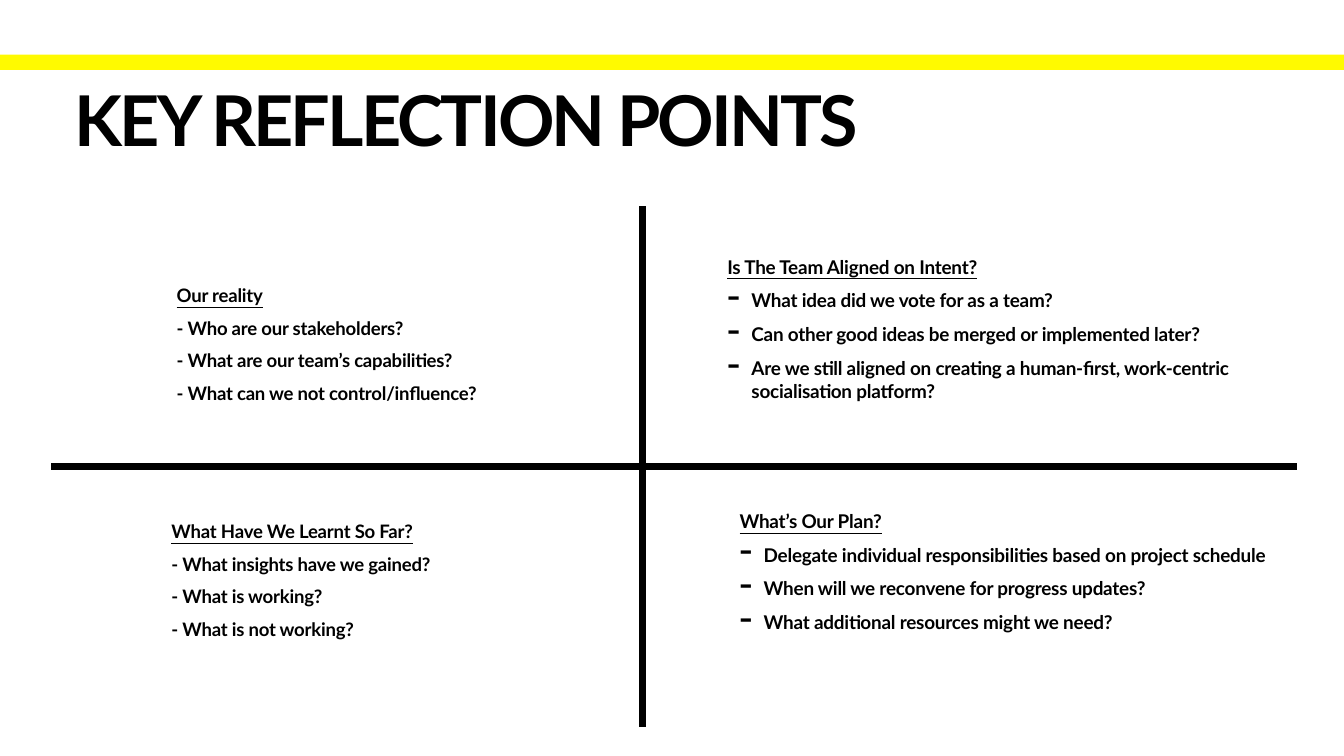
from dataclasses import dataclass

from lxml.etree import SubElement
from pptx import Presentation
from pptx.dml.color import RGBColor
from pptx.enum.shapes import MSO_CONNECTOR as Connector, MSO_SHAPE as Shape
from pptx.enum.text import MSO_ANCHOR as Anchor, MSO_AUTO_SIZE as AutoSize, PP_ALIGN as Align
from pptx.oxml.ns import qn
from pptx.util import Pt


@dataclass(frozen=True)
class Theme:
    font: str = "Lato"
    ink: RGBColor = RGBColor(0, 0, 0)
    accent: RGBColor = RGBColor(0xFF, 0xFA, 0x00)
    title_size: float = 100
    title_tracking: float = -4
    plain_size: float = 26.5
    plain_gap: float = 15
    bullet_size: float = 27
    bullet_gap: float = 16
    bullet_indent: float = 34.5
    bullet_percent: int = 200
    text_tracking: float = -0.3
    inset: float = 4.5
    axis_width: float = 10


THEME = Theme()


@dataclass(frozen=True)
class Box:
    left: float
    top: float
    width: float
    height: float

    def lengths(self):
        return Pt(self.left), Pt(self.top), Pt(self.width), Pt(self.height)


def prepare_frame(frame):
    frame.word_wrap = True
    frame.auto_size = AutoSize.NONE
    frame.vertical_anchor = Anchor.TOP
    frame.margin_left = frame.margin_right = Pt(THEME.inset)
    frame.margin_top = frame.margin_bottom = Pt(THEME.inset)


def format_runs(paragraph, size, tracking, underline=False):
    for run in paragraph.runs:
        run.font.name = THEME.font
        run.font.size = Pt(size)
        run.font.bold = True
        run.font.underline = underline
        run.font.color.rgb = THEME.ink
        run.font._element.set("spc", str(round(tracking * 100)))


def add_dash_bullet(paragraph):
    properties = paragraph._p.get_or_add_pPr()
    indent = Pt(THEME.bullet_indent)
    properties.set("marL", str(indent))
    properties.set("indent", str(-indent))
    color = SubElement(properties, qn("a:buClr"))
    SubElement(color, qn("a:srgbClr"), val=str(THEME.ink))
    SubElement(properties, qn("a:buSzPct"), val=str(THEME.bullet_percent * 1000))
    SubElement(properties, qn("a:buChar"), char="-")


def add_band(slide, box):
    band = slide.shapes.add_shape(Shape.RECTANGLE, *box.lengths())
    band.shadow.inherit = False
    band.fill.solid()
    band.fill.fore_color.rgb = THEME.accent
    band.line.fill.background()


def place_title(slide, box, text):
    title = slide.shapes.title
    title.left, title.top, title.width, title.height = box.lengths()
    prepare_frame(title.text_frame)
    title.text_frame.text = text
    paragraph = title.text_frame.paragraphs[0]
    paragraph.alignment = Align.LEFT
    paragraph.line_spacing = 0.8
    format_runs(paragraph, THEME.title_size, THEME.title_tracking)


def add_axis(slide, start, end):
    axis = slide.shapes.add_connector(Connector.STRAIGHT, *map(Pt, start + end))
    axis.line.color.rgb = THEME.ink
    axis.line.width = Pt(THEME.axis_width)
    SubElement(axis._element.spPr, qn("a:effectLst"))


def add_cross(slide, box, center_x, center_y):
    add_axis(slide, (center_x, box.top), (center_x, box.top + box.height))
    add_axis(slide, (box.left, center_y), (box.left + box.width, center_y))


def add_quadrant(slide, box, heading, points, bulleted):
    size = THEME.bullet_size if bulleted else THEME.plain_size
    gap = THEME.bullet_gap if bulleted else THEME.plain_gap
    frame = slide.shapes.add_textbox(*box.lengths()).text_frame
    prepare_frame(frame)
    frame.text = heading
    format_runs(frame.paragraphs[0], size, THEME.text_tracking, underline=True)
    for point in points:
        paragraph = frame.add_paragraph()
        paragraph.text = point if bulleted else f"- {point}"
        if bulleted:
            add_dash_bullet(paragraph)
        paragraph.space_before = Pt(gap)
        format_runs(paragraph, size, THEME.text_tracking)


QUADRANTS = [
    (Box(248, 401, 670, 195), "Our reality", [
        "Who are our stakeholders?",
        "What are our team’s capabilities?",
        "What can we not control/influence?",
    ], False),
    (Box(1034.5, 360, 776, 236), "Is The Team Aligned on Intent?", [
        "What idea did we vote for as a team?",
        "Can other good ideas be merged or implemented later?",
        "Are we still aligned on creating a human-first, work-centric socialisation platform?",
    ], True),
    (Box(240.5, 738, 685, 196), "What Have We Learnt So Far?", [
        "What insights have we gained?",
        "What is working?",
        "What is not working?",
    ], False),
    (Box(1052, 723, 776, 236), "What’s Our Plan?", [
        "Delegate individual responsibilities based on project schedule",
        "When will we reconvene for progress updates?",
        "What additional resources might we need?",
    ], True),
]


def main():
    presentation = Presentation()
    presentation.slide_width, presentation.slide_height = Pt(1920), Pt(1080)
    slide = presentation.slides.add_slide(presentation.slide_layouts.get_by_name("Title Only"))
    add_band(slide, Box(0, 78, 1920, 22))
    place_title(slide, Box(102, 127.5, 1722, 139.5), "KEY REFLECTION POINTS")
    add_cross(slide, Box(73, 295, 1780, 744), 917.5, 667)
    for box, heading, points, bulleted in QUADRANTS:
        add_quadrant(slide, box, heading, points, bulleted)
    presentation.save("out.pptx")


if __name__ == "__main__":
    main()
